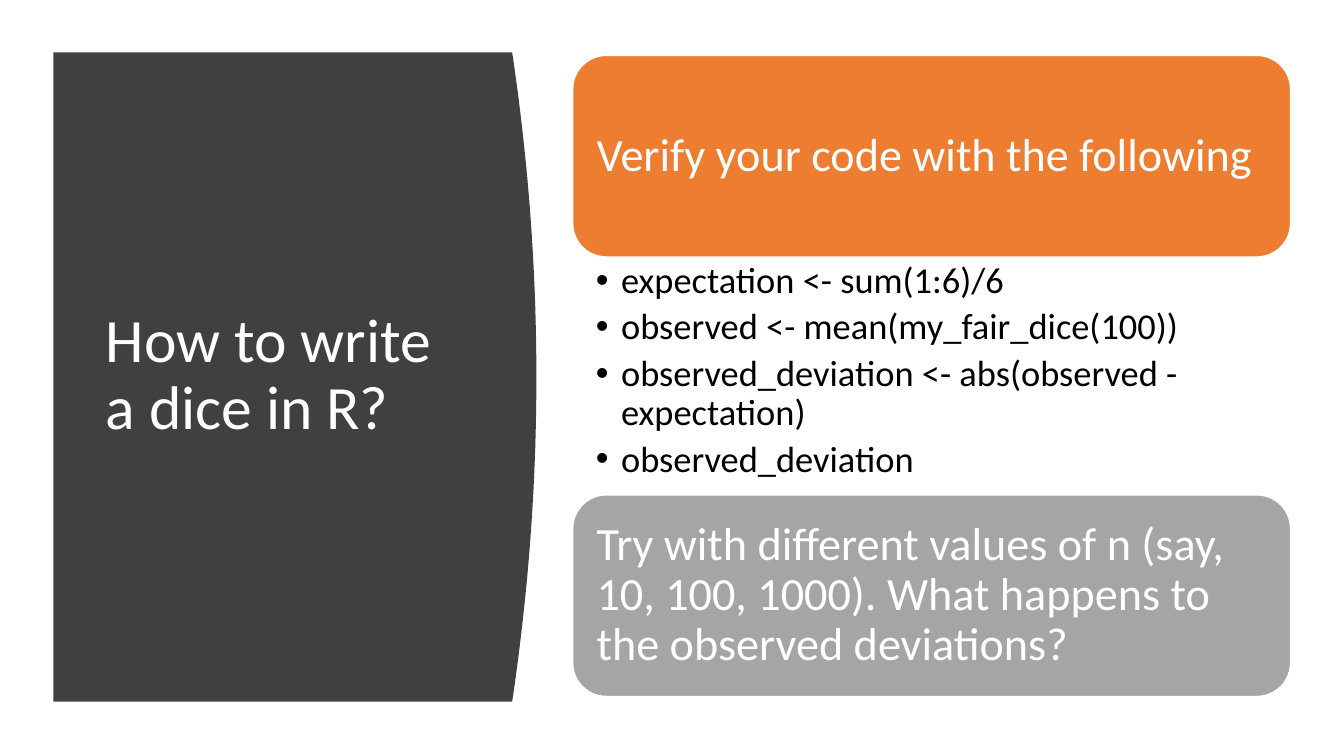
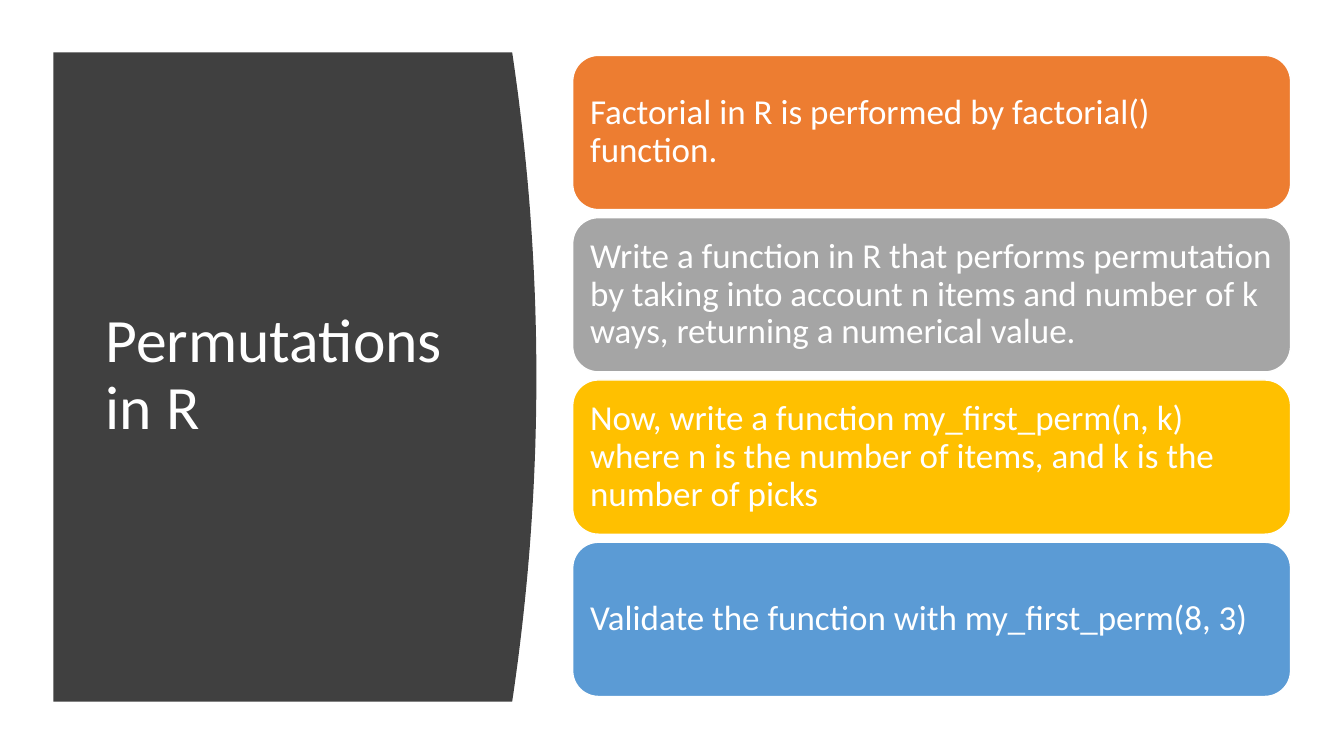
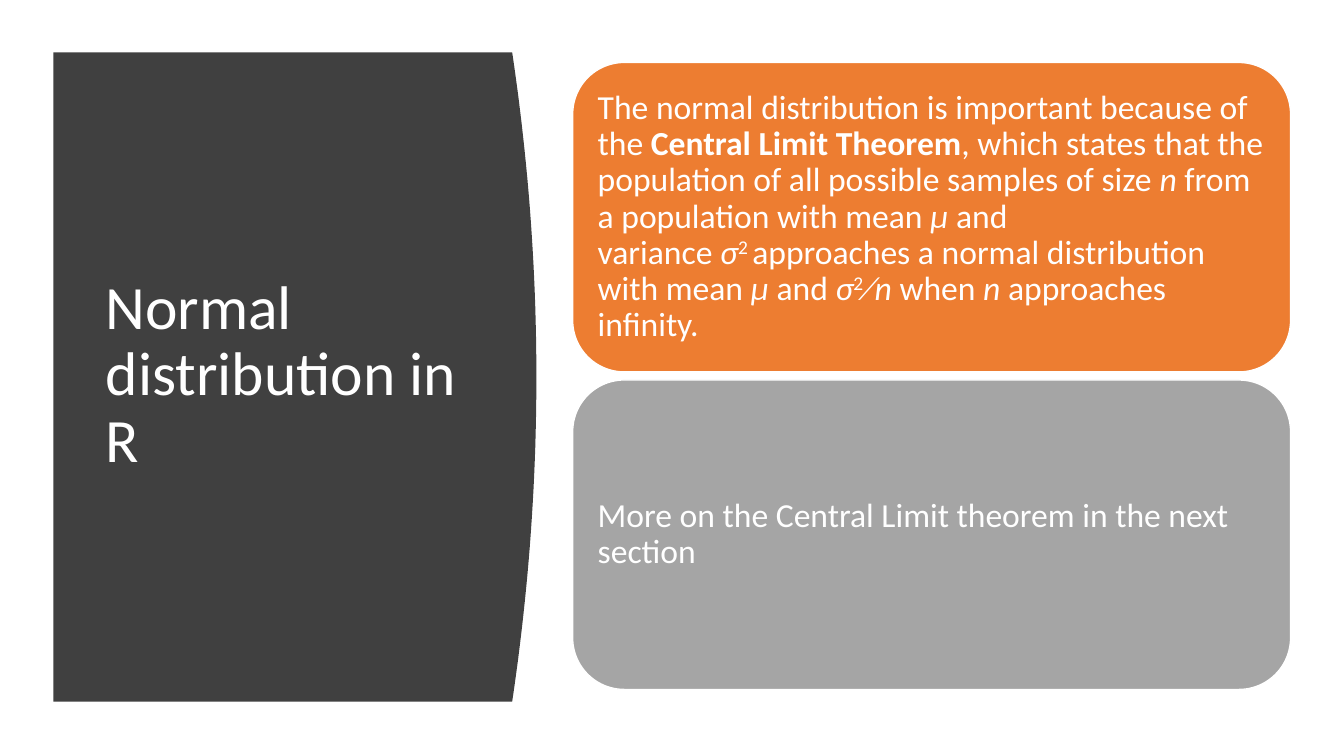
import lxml.etree
import pptx
import pptx.dml.color
import pptx.enum.shapes
import pptx.enum.text
import pptx.oxml.ns
import pptx.util

EMU_PER_PX = 9144
SLIDE_WIDTH, SLIDE_HEIGHT = 1333, 750

WHITE = pptx.dml.color.RGBColor(0xFF, 0xFF, 0xFF)
BLACK = pptx.dml.color.RGBColor(0x00, 0x00, 0x00)
CHARCOAL = pptx.dml.color.RGBColor(0x40, 0x40, 0x40)
ORANGE = pptx.dml.color.RGBColor(0xED, 0x7D, 0x31)
GRAY = pptx.dml.color.RGBColor(0xA5, 0xA5, 0xA5)
GOLD = pptx.dml.color.RGBColor(0xFF, 0xC0, 0x00)
BLUE = pptx.dml.color.RGBColor(0x5B, 0x9B, 0xD5)
PANEL_COLORS = (ORANGE, GRAY, GOLD, BLUE)

FONT_NAME = "Calibri"
BAND_LEFT, BAND_TOP, BAND_EDGE, BAND_BOTTOM = 53, 52, 508, 696
BAND_BULGE = 24
BAND_STEPS = 46
TITLE_BOX = (95, 111, 374, 524)
PANEL_LEFT, PANEL_WIDTH, PANEL_MIDDLE = 568, 712, 373
PANEL_GAP = 8

LEFT = pptx.enum.text.PP_ALIGN.LEFT
TOP = pptx.enum.text.MSO_ANCHOR.TOP
MIDDLE = pptx.enum.text.MSO_ANCHOR.MIDDLE

PLAIN = {}
BOLD = {"bold": True}
ITALIC = {"italic": True}
SUPERSCRIPT = {"baseline": "30000"}
HARD_SPACE = chr(160)

CODE_LINES = [
    "expectation <- sum(1:6)/6",
    "observed <- mean(my_fair_dice(100))",
    "observed_deviation <- abs(observed - expectation)",
    "observed_deviation",
]
CENTRAL_LIMIT_RUNS = [
    ("The normal distribution is important because of the" + HARD_SPACE, PLAIN),
    ("Central Limit Theorem", BOLD),
    (", which states that the population of all possible samples of size" + HARD_SPACE, PLAIN),
    ("n" + HARD_SPACE, ITALIC),
    ("from a population with mean" + HARD_SPACE, PLAIN),
    ("μ" + HARD_SPACE, ITALIC),
    ("and variance" + HARD_SPACE, PLAIN),
    ("σ", ITALIC),
    ("2" + HARD_SPACE, SUPERSCRIPT),
    ("approaches a normal distribution with mean" + HARD_SPACE, PLAIN),
    ("μ" + HARD_SPACE, ITALIC),
    ("and" + HARD_SPACE, PLAIN),
    ("σ", ITALIC),
    ("2", SUPERSCRIPT),
    ("∕n" + HARD_SPACE, ITALIC),
    ("when" + HARD_SPACE, PLAIN),
    ("n" + HARD_SPACE, ITALIC),
    ("approaches infinity.", PLAIN),
]


def px(length):
    return pptx.util.Emu(round(length * EMU_PER_PX))


def set_attributes(target, values):
    for name, value in values.items():
        setattr(target, name, value)


def add_run(paragraph, text, style, size, color):
    run = paragraph.add_run()
    run.text = text
    font_values = {"name": FONT_NAME, "size": pptx.util.Pt(size)}
    font_values.update(style)
    baseline = font_values.pop("baseline", None)
    set_attributes(run.font, font_values)
    run.font.color.rgb = color
    if baseline:
        run.font._element.set("baseline", baseline)


def add_bullet(paragraph):
    properties = paragraph._p.get_or_add_pPr()
    properties.set("marL", str(px(25)))
    properties.set("indent", str(px(-25)))
    for tag, name, value in (("a:buFont", "typeface", "Arial"), ("a:buChar", "char", "•")):
        bullet = lxml.etree.SubElement(properties, pptx.oxml.ns.qn(tag))
        bullet.set(name, value)


def write_text(shape, paragraphs, size, color, insets, anchor=MIDDLE, space_after=0, bulleted=False):
    left, top, right, bottom = (px(inset) for inset in insets)
    frame = shape.text_frame
    set_attributes(frame, {
        "word_wrap": True,
        "vertical_anchor": anchor,
        "margin_left": left,
        "margin_top": top,
        "margin_right": right,
        "margin_bottom": bottom,
    })
    for index, content in enumerate(paragraphs):
        paragraph = frame.add_paragraph() if index else frame.paragraphs[0]
        set_attributes(paragraph, {
            "alignment": LEFT,
            "line_spacing": 0.9,
            "space_after": pptx.util.Pt(space_after),
        })
        if bulleted:
            paragraph.level = 1
            add_bullet(paragraph)
        runs = [(content, PLAIN)] if isinstance(content, str) else content
        for text, style in runs:
            add_run(paragraph, text, style, size, color)


def add_text_box(slide, box, paragraphs, size, color, insets, **options):
    shape = slide.shapes.add_textbox(*(px(length) for length in box))
    write_text(shape, paragraphs, size, color, insets, **options)


def add_title_band(slide):
    height = BAND_BOTTOM - BAND_TOP
    points = []
    for step in range(BAND_STEPS + 1):
        part = step / BAND_STEPS
        bulge = 4 * BAND_BULGE * part * (1 - part)
        points.append((px(BAND_EDGE + bulge), px(BAND_TOP + height * part)))
    points.append((px(BAND_LEFT), px(BAND_BOTTOM)))
    builder = slide.shapes.build_freeform(px(BAND_LEFT), px(BAND_TOP))
    builder.add_line_segments(points, close=True)
    band = builder.convert_to_shape()
    band.shadow.inherit = False
    band.fill.solid()
    band.fill.fore_color.rgb = CHARCOAL
    band.line.fill.background()


def add_titled_slide(presentation, title):
    slide = presentation.slides.add_slide(presentation.slide_layouts[6])
    add_title_band(slide)
    add_text_box(slide, TITLE_BOX, [title], 44, WHITE, (10, 5, 10, 5))
    return slide


def add_panel(slide, top, height, color, content, size, inset):
    panel = slide.shapes.add_shape(
        pptx.enum.shapes.MSO_SHAPE.ROUNDED_RECTANGLE,
        px(PANEL_LEFT), px(top), px(PANEL_WIDTH), px(height))
    panel.shadow.inherit = False
    panel.fill.solid()
    panel.fill.fore_color.rgb = color
    panel.line.color.rgb = WHITE
    panel.line.width = pptx.util.Pt(1)
    write_text(panel, [content], size, WHITE, (inset,) * 4)


def add_panel_stack(slide, contents, height, size, inset=10, gap=PANEL_GAP):
    count = len(contents)
    first_top = PANEL_MIDDLE - (count * height + (count - 1) * gap) // 2
    for index, content in enumerate(contents):
        top = first_top + index * (height + gap)
        add_panel(slide, top, height, PANEL_COLORS[index], content, size, inset)


def add_dice_slide(presentation):
    slide = add_titled_slide(presentation, "How to write a dice in R?")
    add_panel_stack(slide, [
        "Verify your code with the following",
        "Try with different values of n (say, 10, 100, 1000). "
        "What happens to the observed deviations?",
    ], 200, 33, inset=14, gap=236)
    add_text_box(slide, (PANEL_LEFT, 255, PANEL_WIDTH, 236), CODE_LINES, 26, BLACK,
                 (23, 5, 26, 5), anchor=TOP, space_after=5.2, bulleted=True)


def add_permutations_slide(presentation):
    slide = add_titled_slide(presentation, "Permutations in R")
    add_panel_stack(slide, [
        "Factorial in R is performed by factorial() function.",
        "Write a function in R that performs permutation by taking into account "
        "n items and number of k ways, returning a numerical value.",
        "Now, write a function my_first_perm(n, k) where n is the number of items, "
        "and k is the number of picks",
        "Validate the function with my_first_perm(8, 3)",
    ], 153, 25)


def add_distribution_slide(presentation):
    slide = add_titled_slide(presentation, "Normal distribution in R")
    add_panel_stack(slide, [
        CENTRAL_LIMIT_RUNS,
        "More on the Central Limit theorem in the next section",
    ], 307, 24)


def main():
    presentation = pptx.Presentation()
    set_attributes(presentation, {
        "slide_width": px(SLIDE_WIDTH),
        "slide_height": px(SLIDE_HEIGHT),
    })
    add_dice_slide(presentation)
    add_permutations_slide(presentation)
    add_distribution_slide(presentation)
    presentation.save("out.pptx")


if __name__ == "__main__":
    main()
